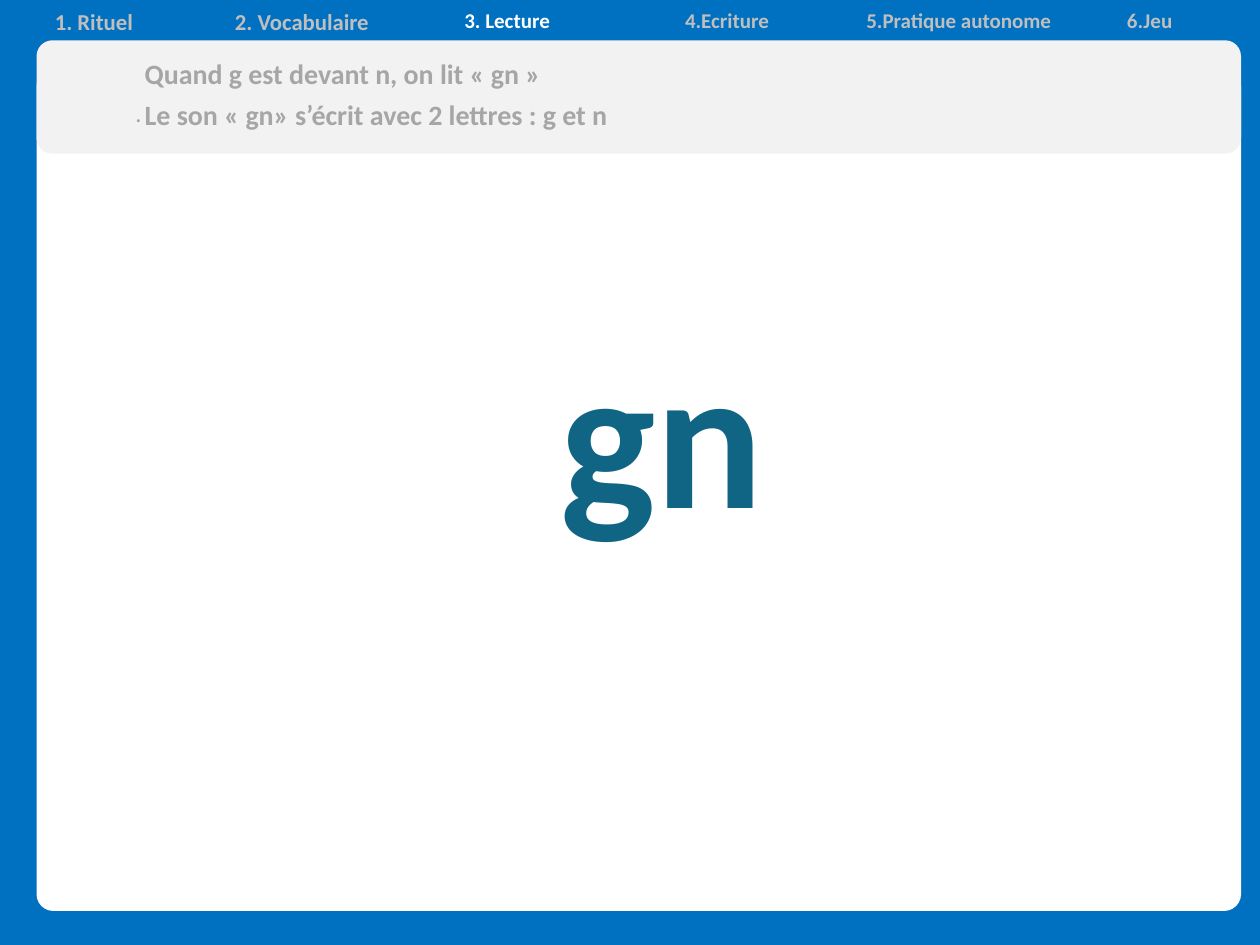
from pptx import Presentation
from pptx.dml.color import RGBColor
from pptx.enum.shapes import MSO_SHAPE
from pptx.enum.text import MSO_AUTO_SIZE, PP_ALIGN
from pptx.util import Inches, Pt

RECT, ROUND = MSO_SHAPE.RECTANGLE, MSO_SHAPE.ROUNDED_RECTANGLE
LEFT, CENTER = PP_ALIGN.LEFT, PP_ALIGN.CENTER
GROW = MSO_AUTO_SIZE.SHAPE_TO_FIT_TEXT
COLS, ROWS = 100, 75
NO_GRID = "{2D5ABB26-0587-4C30-8999-92F81FD0307C}"

BLUE, WHITE, PALE = "0070C0", "FFFFFF", "F2F2F2"
GREY, SILVER, TEAL = "A6A6A6", "BFBFBF", "106585"


def paint(hue):
    return RGBColor.from_string(hue)


class Deck:
    """Holds the font, the grid units and the current slide."""

    font = "Calibri"

    def __init__(self):
        self.prs = Presentation()
        self.prs.slide_width, self.prs.slide_height = Inches(10), Inches(7.5)
        self.col = self.prs.slide_width / COLS
        self.row = self.prs.slide_height / ROWS
        self.slide = self.prs.slides.add_slide(self.prs.slide_layouts[6])
        self.shapes = self.slide.shapes

    def area(self, x, y, w, h):
        """Turn grid columns and rows into slide lengths."""
        return [round(n * unit) for n, unit in
                zip((x, y, w, h), (self.col, self.row) * 2)]

    def label(self, par, text, hue, align=LEFT, **style):
        par.text, par.alignment = text, align
        font = par.runs[0].font
        for key, value in {"name": self.font, **style}.items():
            setattr(font, key, value)
        font.color.rgb = paint(hue)

    def panel(self, group, kind, box, hue, curve=None):
        shape = group.shapes.add_shape(kind, *self.area(*box))
        shape.shadow.inherit = False
        shape.fill.solid()
        shape.fill.fore_color.rgb = paint(hue)
        shape.line.fill.background()
        if curve is not None:
            shape.adjustments[0] = curve

    def text(self, box, lines, hue, after=0, **style):
        frame = self.shapes.add_textbox(*self.area(*box)).text_frame
        frame.word_wrap, frame.auto_size = True, GROW
        for i, line in enumerate(lines):
            par = frame.add_paragraph() if i else frame.paragraphs[0]
            par.space_after = Pt(after)
            self.label(par, line, hue, **style)

    def menu(self, box, widths, items):
        """Draw one table row of (name, size, colour) items."""
        table = self.shapes.add_table(1, len(items), *self.area(*box)).table
        table.first_row = table.horz_banding = False
        table._tbl.tblPr[0].text = NO_GRID
        for i, (name, size, hue) in enumerate(items):
            table.columns[i].width = round(widths[i] * self.col)
            cell = table.cell(0, i)
            cell.fill.background()
            for side in ("left", "right", "top", "bottom"):
                setattr(cell, f"margin_{side}", 0)
            self.label(cell.text_frame.paragraphs[0], name, hue, CENTER,
                       size=Pt(size), bold=True)


def main():
    deck = Deck()
    page = deck.shapes.add_group_shape()
    deck.panel(page, RECT, (0, 0, COLS, ROWS), BLUE)
    deck.panel(page, ROUND, (2.9, 5.5, 95.6, 66.8), WHITE, 0.02)
    deck.panel(page, ROUND, (2.9, 3.2, 95.6, 9), PALE, 0.14)

    rules = ["Quand g est devant n, on lit « gn »",
             "Le son « gn» s’écrit avec 2 lettres : g et n"]
    deck.text((10.5, 4, 88.7, 7), rules, GREY, after=4, size=Pt(16), bold=True)
    deck.text((39.1, 23.9, 26.9, 20.4), ["gn"], TEAL, align=CENTER,
              size=Pt(115), bold=True)
    deck.text((9.8, 7.3, 69.6, 3.4), ["."], GREY, size=Pt(14), italic=True)

    steps = [("1. Rituel ", 13, SILVER), ("2. Vocabulaire", 13, SILVER),
             ("3. Lecture", 12, WHITE), ("4.Ecriture", 12, SILVER),
             ("5.Pratique autonome", 12, SILVER), ("6.Jeu", 12, SILVER)]
    widths = [16.3] * 3 + [18.6, 18.2, 12.1]
    deck.menu((-0.5, 0.7, sum(widths), 3.5), widths, steps)

    deck.prs.save("out.pptx")


if __name__ == "__main__":
    main()
